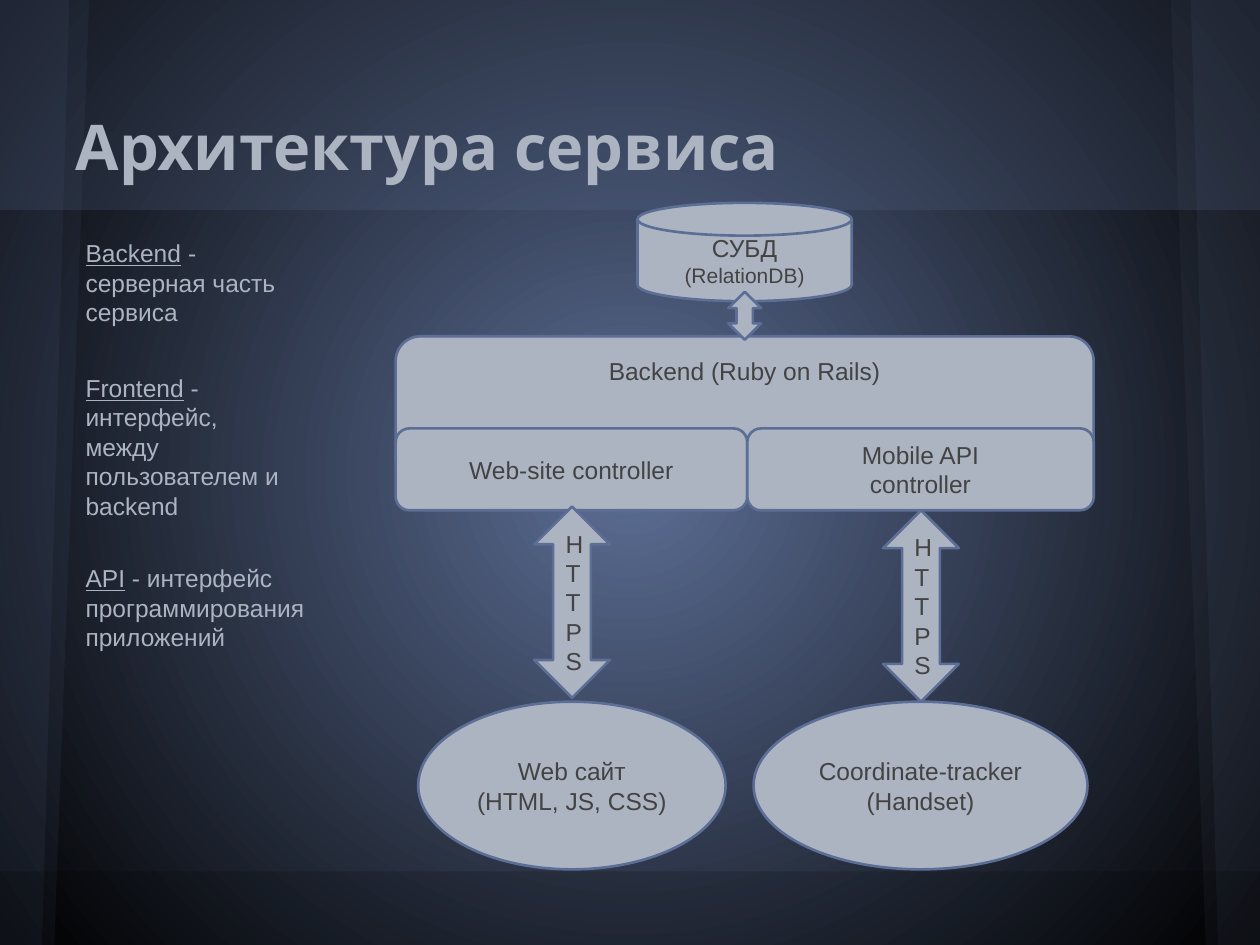
from lxml import etree
from pptx import Presentation
from pptx.dml.color import RGBColor
from pptx.enum.shapes import MSO_SHAPE
from pptx.enum.text import MSO_ANCHOR, MSO_AUTO_SIZE, PP_ALIGN
from pptx.oxml.ns import qn
from pptx.util import Pt

RECTANGLE = MSO_SHAPE.RECTANGLE
ROUNDED = MSO_SHAPE.FLOWCHART_ALTERNATE_PROCESS
DISK = MSO_SHAPE.FLOWCHART_MAGNETIC_DISK
ELLIPSE = MSO_SHAPE.OVAL
ARROW = MSO_SHAPE.UP_DOWN_ARROW
TOP, MIDDLE, BOTTOM = MSO_ANCHOR.TOP, MSO_ANCHOR.MIDDLE, MSO_ANCHOR.BOTTOM
LEFT, CENTER = PP_ALIGN.LEFT, PP_ALIGN.CENTER

THEME = {
    "blue": RGBColor(0x5C, 0x6E, 0x95),
    "slate": RGBColor(0x5A, 0x63, 0x78),
    "black": RGBColor(0, 0, 0),
    "light": RGBColor(0xAC, 0xB4, 0xC2),
    "ink": RGBColor(0x43, 0x43, 0x43),
    "title_font": "Karla", "body_font": "Arial",
    "title_size": 36, "body_size": 14, "small_size": 12,
}
WIDTH, HEIGHT = 720, 540


def tint(shape, color, percent):
    """Give a shape a see-through fill without outline or shadow."""
    shape.shadow.inherit = False
    shape.fill.solid()
    shape.fill.fore_color.rgb = THEME[color]
    shape.line.fill.background()
    rgb = shape.fill._xPr.find(qn("a:solidFill")).find(qn("a:srgbClr"))
    etree.SubElement(rgb, qn("a:alpha"), val=str(percent * 1000))


def format_text(frame, color, anchor, align, font="body_font", size="body_size"):
    """Set the frame's insets and anchor, and format all its runs."""
    frame.word_wrap = True
    frame.auto_size = MSO_AUTO_SIZE.NONE
    frame.vertical_anchor = anchor
    frame.margin_left = frame.margin_right = Pt(7.2)
    frame.margin_top = frame.margin_bottom = Pt(7.2)
    for para in frame.paragraphs:
        para.alignment = align
        for span in para.runs:
            span.font.name = THEME[font]
            span.font.size = Pt(THEME[size])
            span.font.color.rgb = THEME[color]


deck = Presentation()
deck.slide_width, deck.slide_height = Pt(WIDTH), Pt(HEIGHT)
page = deck.slides.add_slide(deck.slide_layouts[5])

# Radial background
backdrop = page.background.fill
backdrop.gradient()
for stop, color in zip(backdrop.gradient_stops, ("blue", "black")):
    stop.color.rgb = THEME[color]
gradient = next(page.element.iter(qn("a:gradFill")))
gradient.remove(gradient.find(qn("a:lin")))
circle = etree.SubElement(gradient, qn("a:path"), path="circle")
etree.SubElement(circle, qn("a:fillToRect"), l="50000", t="50000", r="50000", b="50000")

# Header band, slanted side panels, footer band
header = page.shapes.add_shape(RECTANGLE, 0, 0, Pt(WIDTH), Pt(120))
tint(header, "blue", 20)
panels = [
    (0, 51, 31, "blue"),
    (0, 39.6, 24, "blue"),
    (WIDTH, WIDTH - 51, WIDTH - 31, "slate"),
    (WIDTH, WIDTH - 39.6, WIDTH - 24, "blue"),
]
for edge, upper, lower, color in panels:
    outline = page.shapes.build_freeform(Pt(edge), 0)
    outline.add_line_segments(
        [(Pt(upper), 0), (Pt(lower), Pt(HEIGHT)), (Pt(edge), Pt(HEIGHT))], close=True)
    tint(outline.convert_to_shape(), color, 10)
footer = page.shapes.add_shape(RECTANGLE, 0, Pt(498), Pt(WIDTH), Pt(42))
tint(footer, "black", 15)

# Title, brought in front of the bands
title = page.shapes.title
title.left, title.top, title.width, title.height = Pt(36), Pt(21.6), Pt(648), Pt(90)
title.text_frame.text = "Архитектура сервиса"
format_text(title.text_frame, "light", BOTTOM, LEFT, "title_font", "title_size")
title.text_frame.paragraphs[0].runs[0].font.bold = True
page.shapes._spTree.append(title.element)

# Definitions in the left column
definitions = [
    (128.9, 134, "Backend", " - серверная часть сервиса"),
    (205.9, 134, "Frontend", " - интерфейс, между пользователем и backend"),
    (314.6, 140.4, "API", " - интерфейс программирования приложений"),
]
for top, width, term, meaning in definitions:
    box = page.shapes.add_textbox(Pt(41.8), Pt(top), Pt(width), Pt(85))
    para = box.text_frame.paragraphs[0]
    for words in (term, meaning):
        para.add_run().text = words
    para.runs[0].font.underline = True
    format_text(box.text_frame, "light", TOP, LEFT)

# Architecture diagram: kind, left, top, width, height, text, anchor, alignment
parts = [
    (DISK, 364.3, 115.9, 122.4, 56.2, "СУБД\n(RelationDB)", MIDDLE, CENTER),
    (ROUNDED, 226.1, 192.2, 398.9, 85, "Backend (Ruby on Rails)", TOP, CENTER),
    (ROUNDED, 226.1, 244.8, 200.9, 46.8, "Web-site controller", MIDDLE, CENTER),
    (ROUNDED, 427, 244.8, 198, 46.8, "Mobile API\ncontroller", MIDDLE, CENTER),
    (ARROW, 305.3, 289.4, 43.2, 109.4, "HTTPS", MIDDLE, LEFT),
    (ELLIPSE, 239, 401, 175.7, 95.8, "Web сайт\n(HTML, JS, CSS)", MIDDLE, CENTER),
    (ELLIPSE, 430.6, 401, 190.8, 95.8, "Coordinate-tracker\n(Handset)", MIDDLE, CENTER),
    (ARROW, 504.7, 291.6, 43.2, 109.4, "HTTPS", MIDDLE, LEFT),
    (ARROW, 416.2, 166.7, 18.7, 27.4, "", MIDDLE, CENTER),
]
for kind, left, top, width, height, words, anchor, align in parts:
    part = page.shapes.add_shape(kind, Pt(left), Pt(top), Pt(width), Pt(height))
    part.shadow.inherit = False
    part.fill.solid()
    part.fill.fore_color.rgb = THEME["light"]
    part.line.color.rgb = THEME["blue"]
    part.line.width = Pt(1.5)
    if kind == ARROW:
        part.adjustments[0] = 0.5
        part.adjustments[1] = 0.5
    if words:
        part.text_frame.text = words
        format_text(part.text_frame, "ink", anchor, align)
    if kind == DISK:
        part.text_frame.paragraphs[1].runs[0].font.size = Pt(THEME["small_size"])

deck.save("out.pptx")
